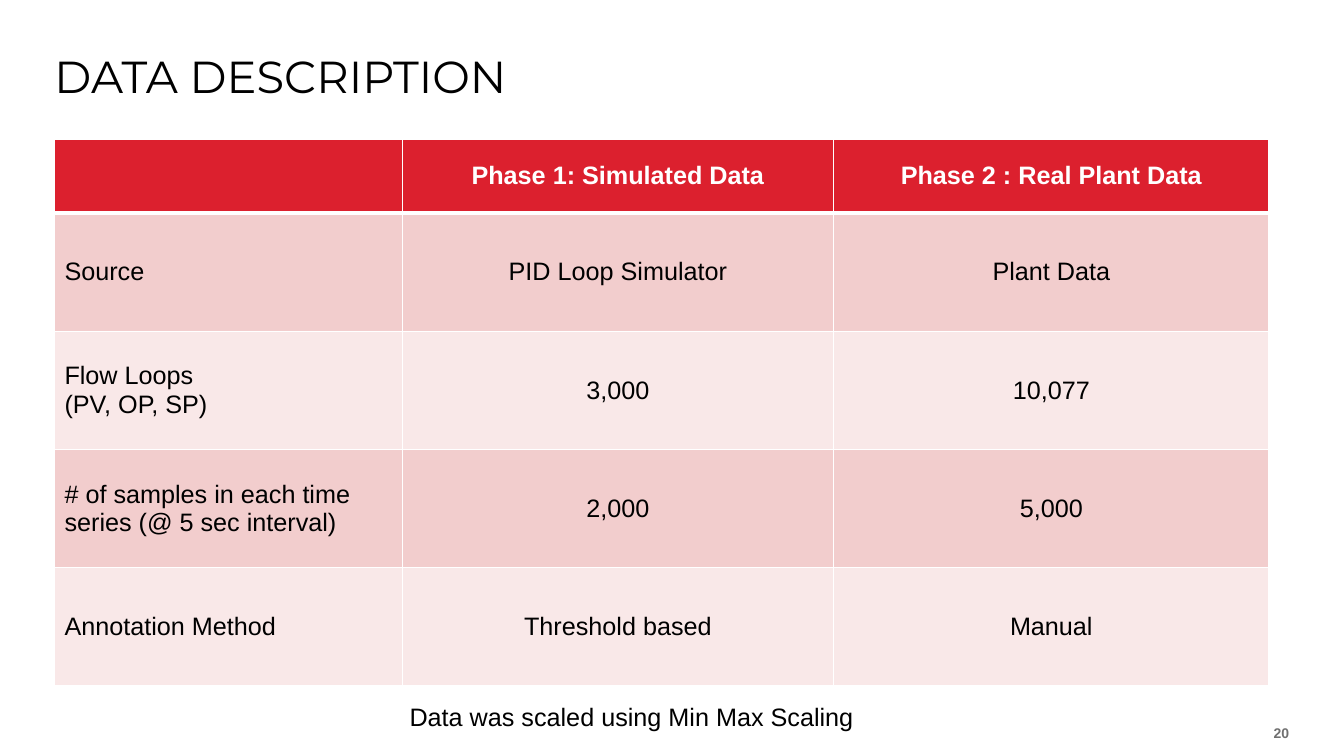
from lxml.etree import SubElement
from pptx import Presentation
from pptx.dml.color import RGBColor
from pptx.enum.text import MSO_ANCHOR, PP_ALIGN
from pptx.oxml.ns import qn
from pptx.util import Pt

TITLE = "DATA DESCRIPTION"
CAPTION = "Data was scaled using Min Max Scaling"
PAGE_NUMBER = "20"
ROWS = [
    ("", "Phase 1: Simulated Data", "Phase 2 : Real Plant Data"),
    ("Source", "PID Loop Simulator", "Plant Data"),
    ("Flow Loops\n(PV, OP, SP)", "3,000", "10,077"),
    ("# of samples in each time series (@ 5 sec interval)", "2,000", "5,000"),
    ("Annotation Method", "Threshold based", "Manual"),
]
COLORS = {
    "header": "DC202E",
    "odd": "F2CDCD",
    "even": "F9E8E8",
    "white": "FFFFFF",
    "black": "000000",
    "grey": "707070",
}
LEFT = 38.9
TABLE_TOP = 99.4
COLUMN_WIDTHS = (248.4, 308.2, 311)
HEADER_HEIGHT, BODY_HEIGHT = 52.7, 84.5


def rgb(name):
    return RGBColor.from_string(COLORS[name])


def write(frame, text, size, color, align=PP_ALIGN.LEFT, bold=False, font="Arial"):
    """Fill a text frame with one paragraph for each line of text."""
    for index, line in enumerate(text.split("\n")):
        paragraph = frame.add_paragraph() if index else frame.paragraphs[0]
        paragraph.alignment = align
        run = paragraph.add_run()
        run.text = line
        run.font.name = font
        run.font.size = Pt(size)
        run.font.bold = bold
        run.font.color.rgb = rgb(color)


def clear_margins(frame):
    frame.margin_left = frame.margin_top = frame.margin_right = frame.margin_bottom = 0
    frame.word_wrap = True


def add_label(slide, box, anchor, *style):
    frame = slide.shapes.add_textbox(*map(Pt, box)).text_frame
    clear_margins(frame)
    frame.vertical_anchor = anchor
    write(frame, *style)


def add_borders(cell, top, bottom):
    properties = cell._tc.get_or_add_tcPr()
    for side, width in (("L", 1), ("R", 1), ("T", top), ("B", bottom)):
        line = SubElement(properties, qn(f"a:ln{side}"), w=str(Pt(width)))
        fill = SubElement(line, qn("a:solidFill"))
        SubElement(fill, qn("a:srgbClr"), val=COLORS["white"])


def add_data_table(slide):
    height = HEADER_HEIGHT + BODY_HEIGHT * (len(ROWS) - 1)
    table = slide.shapes.add_table(
        len(ROWS), len(COLUMN_WIDTHS), Pt(LEFT), Pt(TABLE_TOP),
        Pt(sum(COLUMN_WIDTHS)), Pt(height)).table
    for column, width in zip(table.columns, COLUMN_WIDTHS):
        column.width = Pt(width)
    for r, texts in enumerate(ROWS):
        is_header = r == 0
        table.rows[r].height = Pt(HEADER_HEIGHT if is_header else BODY_HEIGHT)
        for c, text in enumerate(texts):
            cell = table.cell(r, c)
            add_borders(cell, top=3 if r == 1 else 1, bottom=3 if is_header else 1)
            cell.fill.solid()
            cell.fill.fore_color.rgb = rgb(
                "header" if is_header else "odd" if r % 2 else "even")
            cell.vertical_anchor = MSO_ANCHOR.MIDDLE
            if text:
                write(cell.text_frame, text, 18, "white" if is_header else "black",
                      PP_ALIGN.CENTER if c else PP_ALIGN.LEFT, is_header)


def main():
    deck = Presentation()
    deck.slide_width, deck.slide_height = Pt(960), Pt(540)
    slide = deck.slides.add_slide(deck.slide_layouts[5])

    title = slide.shapes.title
    title.left, title.top, title.width, title.height = map(Pt, (LEFT, 38.9, 882, 33.1))
    clear_margins(title.text_frame)
    title.text_frame.vertical_anchor = MSO_ANCHOR.TOP
    write(title.text_frame, TITLE, 32, "black", font="Montserrat")
    title.text_frame.paragraphs[0].line_spacing = 0.9

    add_data_table(slide)
    add_label(slide, (882, 510.5, 38.9, 18.7), MSO_ANCHOR.BOTTOM,
              PAGE_NUMBER, 10, "grey", PP_ALIGN.RIGHT, True)
    add_label(slide, (148.3, 501.1, 605.5, 28.1), MSO_ANCHOR.TOP,
              CAPTION, 18, "black", PP_ALIGN.CENTER)
    deck.save("out.pptx")


if __name__ == "__main__":
    main()
